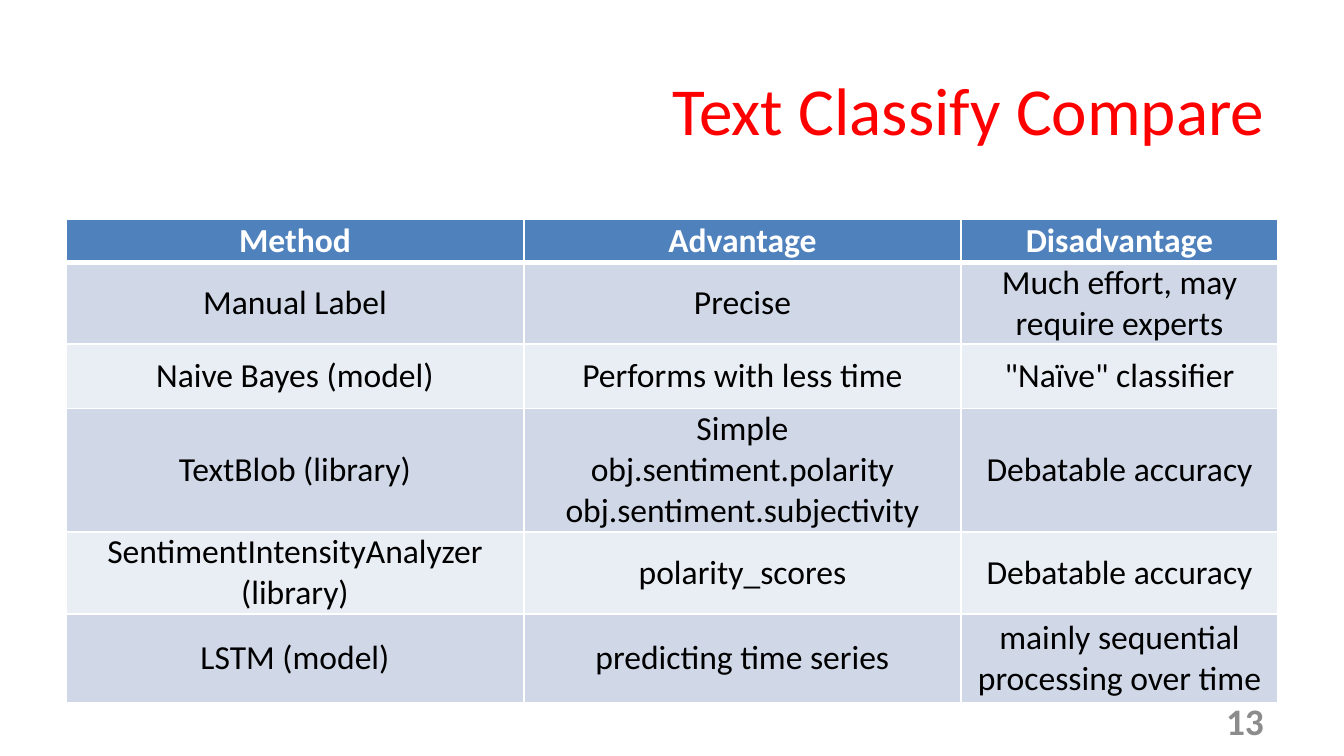
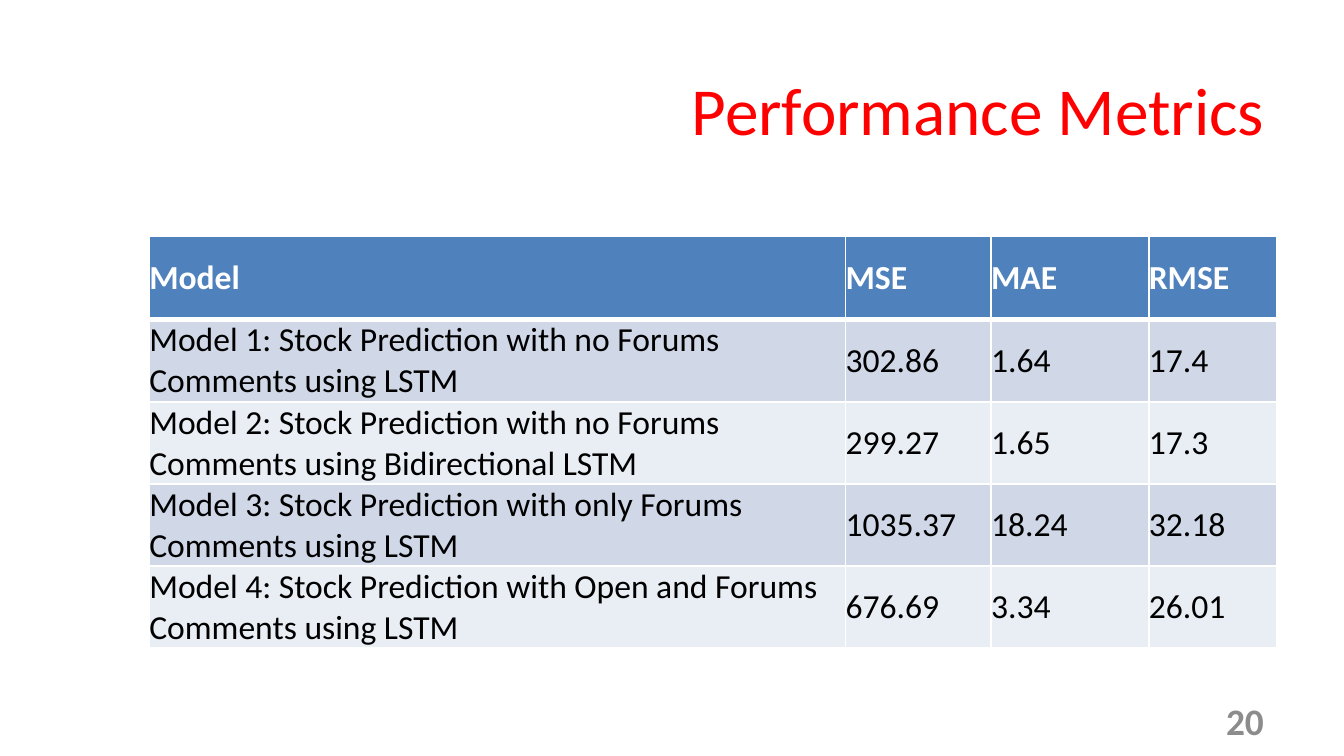
import dataclasses

import lxml.etree
import pptx
import pptx.dml.color
import pptx.enum.text
import pptx.oxml.ns
import pptx.util

Pt = pptx.util.Pt
PP_ALIGN = pptx.enum.text.PP_ALIGN
MIDDLE = pptx.enum.text.MSO_ANCHOR.MIDDLE


@dataclasses.dataclass(frozen=True)
class Theme:
    font: str = "Calibri"
    title_color: str = "FF0000"
    number_color: str = "8C8C8C"
    header_fill: str = "4F81BD"
    header_text: str = "FFFFFF"
    body_text: str = "000000"
    band_fills: tuple = ("E9EDF4", "D0D8E8")
    border_color: str = "FFFFFF"
    title_size: int = 36
    table_size: int = 18
    number_size: int = 20


theme = Theme()

slides = [
    {
        "title": "Text Classify Compare",
        "number": "13",
        "position": (35.3, 117.4),
        "columns": (245.5, 234, 170),
        "row_heights": (23, 32.4, 34.6, 64, 32.4, 47.5),
        "alignment": PP_ALIGN.CENTER,
        "rows": [
            ("Method", "Advantage", "Disadvantage"),
            ("Manual Label", "Precise", "Much effort, may require experts"),
            ("Naive Bayes (model)", "Performs with less time", '"Naïve" classifier'),
            (
                "TextBlob (library)",
                "Simple\nobj.sentiment.polarity\nobj.sentiment.subjectivity",
                "Debatable accuracy",
            ),
            ("SentimentIntensityAnalyzer\n(library)", "polarity_scores", "Debatable accuracy"),
            ("LSTM (model)", "predicting time series", "mainly sequential processing over time"),
        ],
    },
    {
        "title": "Performance Metrics",
        "number": "20",
        "position": (80, 126.8),
        "columns": (373, 78, 84.5, 68.5),
        "row_heights": (44.6, 35.3, 31, 35.3, 35.3),
        "alignment": PP_ALIGN.LEFT,
        "rows": [
            ("Model", "MSE", "MAE", "RMSE"),
            ("Model 1: Stock Prediction with no Forums Comments using LSTM", "302.86", "1.64", "17.4"),
            ("Model 2: Stock Prediction with no Forums Comments using Bidirectional LSTM", "299.27", "1.65", "17.3"),
            ("Model 3: Stock Prediction with only Forums Comments using LSTM", "1035.37", "18.24", "32.18"),
            ("Model 4: Stock Prediction with Open and Forums Comments using LSTM", "676.69", "3.34", "26.01"),
        ],
    },
]


def format_text(text_frame, size, color, alignment, bold=False):
    for paragraph in text_frame.paragraphs:
        paragraph.alignment = alignment
        for run in paragraph.runs:
            run.font.name = theme.font
            run.font.size = Pt(size)
            run.font.bold = bold
            run.font.color.rgb = pptx.dml.color.RGBColor.from_string(color)


def add_borders(cell, widths):
    properties = cell._tc.get_or_add_tcPr()
    for side, width in widths.items():
        line = lxml.etree.SubElement(properties, pptx.oxml.ns.qn(f"a:ln{side}"), w=str(Pt(width)))
        fill = lxml.etree.SubElement(line, pptx.oxml.ns.qn("a:solidFill"))
        lxml.etree.SubElement(fill, pptx.oxml.ns.qn("a:srgbClr"), val=theme.border_color)


presentation = pptx.Presentation()
presentation.slide_width = Pt(720)
presentation.slide_height = Pt(405)
title_only = presentation.slide_layouts[5]

for content in slides:
    slide = presentation.slides.add_slide(title_only)

    title = slide.shapes.title
    title.left, title.top, title.width, title.height = Pt(35.3), Pt(22.3), Pt(649.5), Pt(72)
    title.text_frame.text = content["title"]
    title.text_frame.vertical_anchor = MIDDLE
    format_text(title.text_frame, theme.title_size, theme.title_color, PP_ALIGN.RIGHT)

    left, top = content["position"]
    columns, row_heights = content["columns"], content["row_heights"]
    table = slide.shapes.add_table(
        len(row_heights), len(columns), Pt(left), Pt(top), Pt(sum(columns)), Pt(sum(row_heights))
    ).table
    for column, width in zip(table.columns, columns):
        column.width = Pt(width)

    for row_index, texts in enumerate(content["rows"]):
        is_header = row_index == 0
        table.rows[row_index].height = Pt(row_heights[row_index])
        fill_color = theme.header_fill if is_header else theme.band_fills[row_index % 2]
        text_color = theme.header_text if is_header else theme.body_text
        for column_index, text in enumerate(texts):
            cell = table.cell(row_index, column_index)
            cell.margin_left = cell.margin_right = cell.margin_top = cell.margin_bottom = 0
            cell.vertical_anchor = MIDDLE
            if is_header:
                add_borders(cell, {"L": 1, "R": 1, "T": 1, "B": 3})
            cell.fill.solid()
            cell.fill.fore_color.rgb = pptx.dml.color.RGBColor.from_string(fill_color)
            cell.text_frame.text = text
            format_text(cell.text_frame, theme.table_size, text_color, content["alignment"], is_header)

    number = slide.shapes.add_textbox(Pt(516.2), Pt(375), Pt(168), Pt(21.6))
    number.text_frame.word_wrap = True
    number.text_frame.vertical_anchor = MIDDLE
    number.text_frame.text = content["number"]
    format_text(number.text_frame, theme.number_size, theme.number_color, PP_ALIGN.RIGHT, True)

presentation.save("out.pptx")
